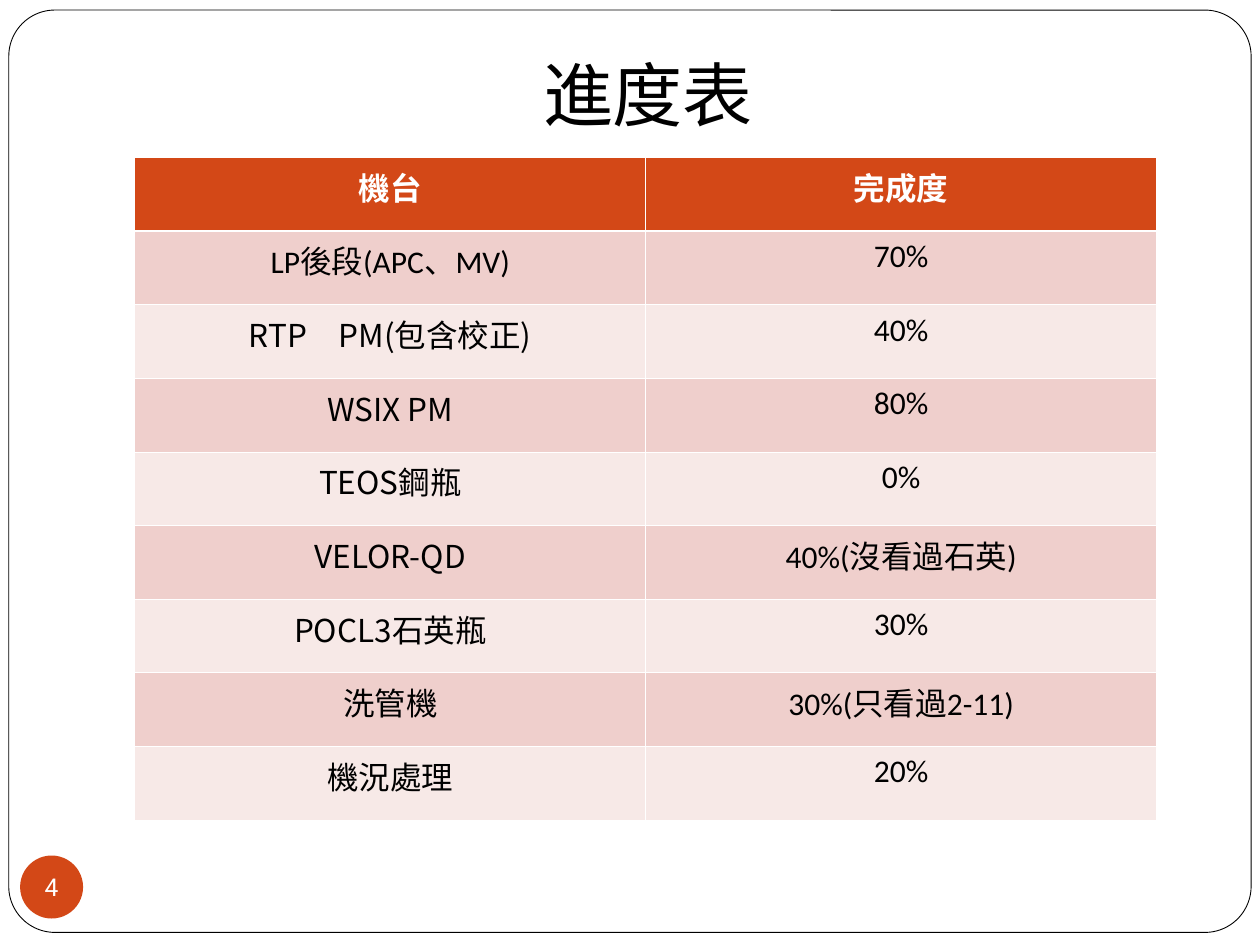
from lxml import etree
from pptx import Presentation
from pptx.dml.color import RGBColor
from pptx.enum.shapes import MSO_SHAPE
from pptx.enum.text import MSO_ANCHOR, MSO_AUTO_SIZE, PP_ALIGN
from pptx.oxml.ns import qn
from pptx.util import Inches, Pt

LEFT, CENTER = PP_ALIGN.LEFT, PP_ALIGN.CENTER
TOP, MIDDLE = MSO_ANCHOR.TOP, MSO_ANCHOR.MIDDLE
ROUND, OVAL = MSO_SHAPE.ROUNDED_RECTANGLE, MSO_SHAPE.OVAL

WHITE = RGBColor(0xFF, 0xFF, 0xFF)
BLACK = RGBColor(0x00, 0x00, 0x00)
ORANGE = RGBColor(0xD3, 0x48, 0x17)
ROSE = RGBColor(0xEF, 0xCF, 0xCC)
PALE = RGBColor(0xF7, 0xE9, 0xE7)

LATIN, CJK, DIGIT = "Calibri", "Noto Sans CJK SC", "Roboto"
THIN, THICK = 0.45, 1.47
COL, ROW = 4.055, 5.26 / 9

HEAD = ("機台", "完成度")
TASKS = [
    ("LP後段(APC、MV)", "70%"),
    ("RTP　PM(包含校正)", "40%"),
    ("WSIX PM", "80%"),
    ("TEOS鋼瓶", "0%"),
    ("VELOR-QD", "40%(沒看過石英)"),
    ("POCL3石英瓶", "30%"),
    ("洗管機", "30%(只看過2-11)"),
    ("機況處理", "20%"),
]


def write(frame, text, size=18, font=LATIN, color=BLACK, bold=False, align=CENTER):
    para = frame.paragraphs[0]
    para.alignment = align
    run = para.add_run()
    run.text = text
    run.font.size = Pt(size)
    run.font.name = font
    run.font.bold = bold
    run.font.color.rgb = color
    east = etree.SubElement(run.font._element, qn("a:ea"))
    east.set("typeface", CJK)


def add_shape(slide, kind, box, fill):
    shape = slide.shapes.add_shape(kind, *map(Inches, box))
    shape.shadow.inherit = False
    shape.fill.solid()
    shape.fill.fore_color.rgb = fill
    shape.line.fill.background()
    return shape


def add_frame(slide):
    """Draw the rounded page border behind the title."""
    frame = add_shape(slide, ROUND, (0.07, 0.08, 9.86, 7.32), WHITE)
    frame.adjustments[0] = 0.05
    frame.line.color.rgb = BLACK
    frame.line.width = Pt(0.5)
    slide.shapes.title.element.addprevious(frame.element)


def set_title(slide, text):
    title = slide.shapes.title
    title.left, title.top, title.width, title.height = map(
        Inches, (4.21, 0.36, 3.7, 0.77))
    frame = title.text_frame
    frame.vertical_anchor = TOP
    frame.word_wrap = True
    frame.auto_size = MSO_AUTO_SIZE.SHAPE_TO_FIT_TEXT
    write(frame, text, size=40, font=CJK, align=LEFT)


def add_badge(slide, text):
    """Draw the page number in its disc."""
    frame = add_shape(slide, OVAL, (0.16, 6.79, 0.5, 0.5), ORANGE).text_frame
    frame.margin_left = frame.margin_right = 0
    frame.margin_top = frame.margin_bottom = 0
    frame.vertical_anchor = MIDDLE
    frame.word_wrap = False
    write(frame, text, size=14, font=DIGIT, color=WHITE)


def set_edges(cell, **widths):
    props = cell._tc.get_or_add_tcPr()
    for side in "LRTB":
        width = Pt(widths.get(side, THIN))
        line = etree.SubElement(props, qn("a:ln" + side), w=str(width))
        fill = etree.SubElement(line, qn("a:solidFill"))
        etree.SubElement(fill, qn("a:srgbClr"), val=str(WHITE))


def fill_cell(cell, text, fill, edges, **style):
    set_edges(cell, **edges)
    cell.fill.solid()
    cell.fill.fore_color.rgb = fill
    write(cell.text_frame, text, **style)


def add_table(slide):
    rows = [HEAD] + TASKS
    table = slide.shapes.add_table(
        len(rows), len(HEAD), Inches(1.07), Inches(1.25),
        Inches(COL * len(HEAD)), Inches(ROW * len(rows))).table
    for col in table.columns:
        col.width = Inches(COL)
    for r, row in enumerate(rows):
        table.rows[r].height = Inches(ROW)
        fill = ORANGE if r == 0 else ROSE if r % 2 else PALE
        edges = {0: {"B": THICK}, 1: {"T": THICK}}.get(r, {})
        for c, text in enumerate(row):
            fill_cell(table.cell(r, c), text, fill, edges,
                      font=CJK if c == 0 and r > 1 else LATIN,
                      color=BLACK if r else WHITE, bold=r == 0)


def main():
    deck = Presentation()
    deck.slide_width, deck.slide_height = Inches(10), Inches(7.5)
    slide = deck.slides.add_slide(deck.slide_layouts[5])
    add_frame(slide)
    add_badge(slide, "4")
    set_title(slide, "進度表")
    add_table(slide)
    deck.save("out.pptx")


if __name__ == "__main__":
    main()
